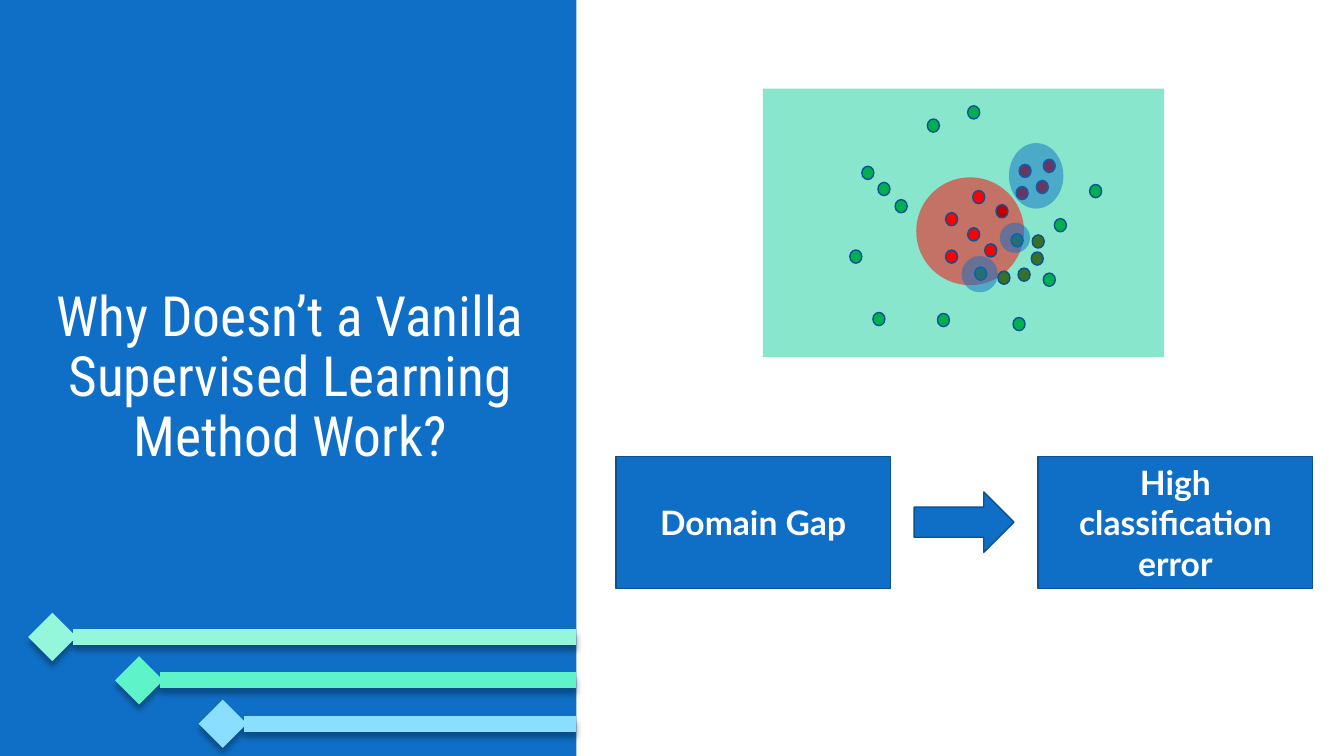
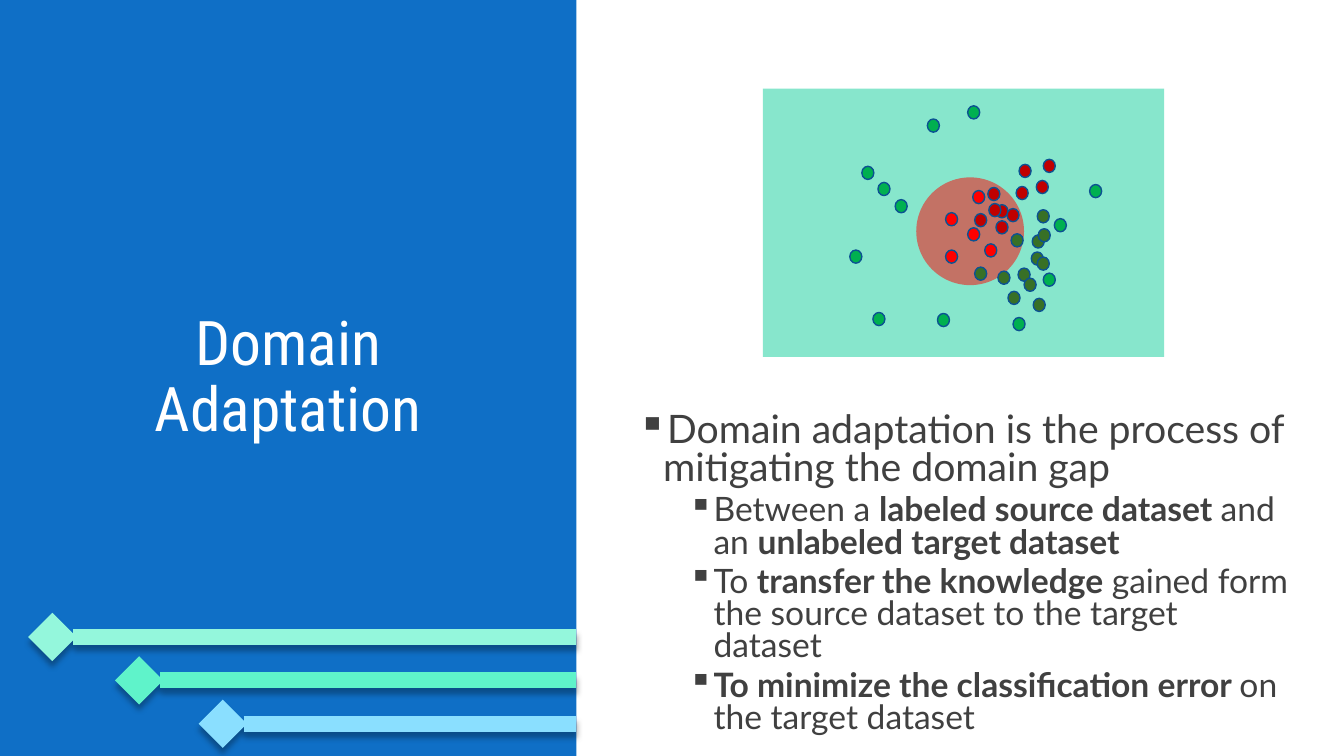
"""Build two slides on the domain gap and domain adaptation."""
import dataclasses

import pptx
import pptx.dml.color
import pptx.enum.shapes
import pptx.enum.text
import pptx.oxml
import pptx.oxml.ns
import pptx.util

Pt = pptx.util.Pt
SHAPE = pptx.enum.shapes.MSO_SHAPE
ANCHOR = pptx.enum.text.MSO_ANCHOR
ALIGN = pptx.enum.text.PP_ALIGN


@dataclasses.dataclass(frozen=True)
class Theme:
    blue: str = "0F6FC6"
    outline: str = "0B5292"
    white: str = "FFFFFF"
    text: str = "404040"
    area: str = "10CF9B"
    positive: str = "FF0000"
    negative: str = "00B050"
    target_positive: str = "C00000"
    target_negative: str = "387026"
    stripes: tuple = ("94F7DC", "5FF3CA", "8ADFFF")
    title_font: str = "Roboto Condensed"
    body_font: str = "Lato"
    title_size: float = 44
    long_title_size: float = 39.6
    level_sizes: tuple = (28, 24)
    label_size: float = 24


THEME = Theme()
PANEL_WIDTH = 411.8
SLIDE_HEIGHT = 540
DOT_SIZE = (8.6, 9.4)

SOURCE_DOTS = {
    THEME.negative: [
        (615.6, 118.8), (607, 178.6), (623.5, 223.2), (691.2, 75.6),
        (778.3, 131.8), (745.2, 195.1), (723.6, 226.8), (669.6, 223.9),
        (627.1, 130.3), (662.4, 85), (639.4, 142.6), (753.1, 156.2),
    ],
    THEME.positive: [
        (675.4, 151.9), (694.8, 136.1), (675.4, 178.6), (691.2, 162.7),
        (703.4, 174.2),
    ],
}
TARGET_DOTS = {
    THEME.target_positive: [
        (711.4, 146.2), (725.8, 133.2), (727.9, 117.4), (740.2, 128.9),
        (745.2, 113.8),
    ],
    THEME.target_negative: [
        (736.6, 180), (727.2, 191.5), (712.8, 193.7), (696.2, 190.8),
        (722.2, 167), (737.3, 167.8),
    ],
}
ADAPTED_DOTS = {
    THEME.target_positive: [
        (705.6, 133.9), (696.2, 152.6), (706.3, 145.4), (711.4, 157.7),
        (719.3, 149),
    ],
    THEME.target_negative: [
        (740.9, 183.6), (731.5, 198.7), (738, 213.1), (720, 208.1),
        (740.9, 149.8), (741.6, 163.4),
    ],
}
GAP_REGIONS = [
    (720.7, 102.2, 38.9, 46.8), (686.9, 182.9, 25.9, 25.9),
    (714.2, 159.1, 21.6, 21.6),
]
ADAPTATION_POINTS = [
    (0, [("Domain adaptation is the process of mitigating the domain gap", False)]),
    (1, [("Between a ", False), ("labeled source dataset ", True),
         ("and an ", False), ("unlabeled target dataset", True)]),
    (1, [("To ", False), ("transfer the knowledge", True),
         (" gained form the source dataset to the target dataset", False)]),
    (1, [("To minimize the classification error ", True),
         ("on the target dataset", False)]),
]


def rgb(color):
    return pptx.dml.color.RGBColor.from_string(color)


def add_xml(parent, xml):
    namespace = pptx.oxml.ns.nsdecls("a")
    parent.append(pptx.oxml.parse_xml(xml.replace(">", f" {namespace}>", 1)))


class SlideWriter:
    def __init__(self, deck, theme):
        self.deck = deck
        self.theme = theme
        self.slide = None

    def start(self, title, title_at, size):
        self.slide = self.deck.slides.add_slide(self.deck.slide_layouts[6])
        self.shape(SHAPE.RECTANGLE, (0, 0, PANEL_WIDTH, SLIDE_HEIGHT), self.theme.blue)
        tops = (455, 486, 517)
        for left, top, color in zip((37.4, 99.4, 159.1), tops, self.theme.stripes):
            self.stripe(left, top, color)
        frame = self.text_frame(title_at, ANCHOR.MIDDLE)
        paragraph = frame.paragraphs[0]
        paragraph.alignment = ALIGN.CENTER
        paragraph.line_spacing = 0.9
        self.span(paragraph, title, self.theme.title_font, size, self.theme.white)

    def shape(self, kind, at, fill, outline=None, opacity=100):
        shape = self.slide.shapes.add_shape(kind, *map(Pt, at))
        shape.shadow.inherit = False
        shape.fill.solid()
        shape.fill.fore_color.rgb = rgb(fill)
        if outline:
            shape.line.color.rgb = rgb(outline)
            shape.line.width = Pt(1)
        else:
            shape.line.fill.background()
        if opacity < 100:
            solid = shape.element.spPr.find(pptx.oxml.ns.qn("a:solidFill"))
            add_xml(solid[0], f'<a:alpha val="{opacity * 1000}"></a:alpha>')
        return shape

    def stripe(self, left, top, color):
        line = self.slide.shapes.add_connector(
            pptx.enum.shapes.MSO_CONNECTOR.STRAIGHT,
            Pt(left), Pt(top), Pt(PANEL_WIDTH), Pt(top))
        line.line.color.rgb = rgb(color)
        line.line.width = Pt(11.5)
        add_xml(line.line._get_or_add_ln(), '<a:headEnd type="diamond"></a:headEnd>')
        add_xml(line.element.spPr,
                '<a:effectLst><a:outerShdw blurRad="50800" dist="50800" dir="5400000">'
                '<a:srgbClr val="000000"><a:alpha val="30000"/></a:srgbClr>'
                '</a:outerShdw></a:effectLst>')

    def text_frame(self, at, anchor):
        box = self.slide.shapes.add_textbox(*map(Pt, at))
        box.text_frame.word_wrap = True
        box.text_frame.vertical_anchor = anchor
        return box.text_frame

    def span(self, paragraph, text, font, size, color, bold=False):
        span = paragraph.add_run()
        span.text = text
        span.font.name = font
        span.font.size = Pt(size)
        span.font.color.rgb = rgb(color)
        span.font.bold = bold

    def label(self, at, text):
        box = self.shape(SHAPE.RECTANGLE, at, self.theme.blue, self.theme.outline)
        box.text_frame.word_wrap = True
        box.text_frame.vertical_anchor = ANCHOR.MIDDLE
        paragraph = box.text_frame.paragraphs[0]
        paragraph.alignment = ALIGN.CENTER
        self.span(paragraph, text, self.theme.body_font, self.theme.label_size,
                  self.theme.white, True)

    def arrow(self, at):
        self.shape(SHAPE.RIGHT_ARROW, at, self.theme.blue, self.theme.outline)

    def scatter(self, *dot_sets):
        self.shape(SHAPE.RECTANGLE, (545, 63.4, 286.6, 191.5), self.theme.area, opacity=50)
        self.shape(SHAPE.OVAL, (654.5, 126.7, 77, 77), self.theme.positive, opacity=50)
        for dots in dot_sets:
            for color, places in dots.items():
                for place in places:
                    self.shape(SHAPE.OVAL, place + DOT_SIZE, color, self.theme.outline)

    def regions(self, places):
        for place in places:
            self.shape(SHAPE.OVAL, place, self.theme.blue, opacity=50)

    def bullets(self, at, points):
        frame = self.text_frame(at, ANCHOR.TOP)
        for index, (level, spans) in enumerate(points):
            paragraph = frame.add_paragraph() if index else frame.paragraphs[0]
            properties = paragraph._p.get_or_add_pPr()
            properties.set("marL", str(Pt(18 + 36 * level)))
            properties.set("indent", str(Pt(-18)))
            add_xml(properties, '<a:buChar char="▪"></a:buChar>')
            paragraph.level = level
            paragraph.line_spacing = 0.8
            if index:
                paragraph.space_before = Pt(5)
            for text, bold in spans:
                self.span(paragraph, text, self.theme.body_font,
                          self.theme.level_sizes[level], self.theme.text, bold)


def main():
    deck = pptx.Presentation()
    deck.slide_width = Pt(960)
    deck.slide_height = Pt(SLIDE_HEIGHT)
    writer = SlideWriter(deck, THEME)

    writer.start("Why Doesn’t a Vanilla Supervised Learning Method Work?",
                 (33.1, 218.2, 348.5, 104.4), THEME.long_title_size)
    writer.scatter(SOURCE_DOTS, TARGET_DOTS)
    writer.regions(GAP_REGIONS)
    writer.label((440, 326, 196, 94.3), "Domain Gap")
    writer.label((741.6, 326, 196, 94.3), "High classification error")
    writer.arrow((653, 351.4, 71.3, 43.2))

    writer.start("Domain Adaptation", (62.6, 218.2, 286.6, 104.4), THEME.title_size)
    writer.bullets((448.6, 292, 481.7, 236.5), ADAPTATION_POINTS)
    writer.scatter(SOURCE_DOTS, TARGET_DOTS, ADAPTED_DOTS)

    deck.save("out.pptx")


if __name__ == "__main__":
    main()
